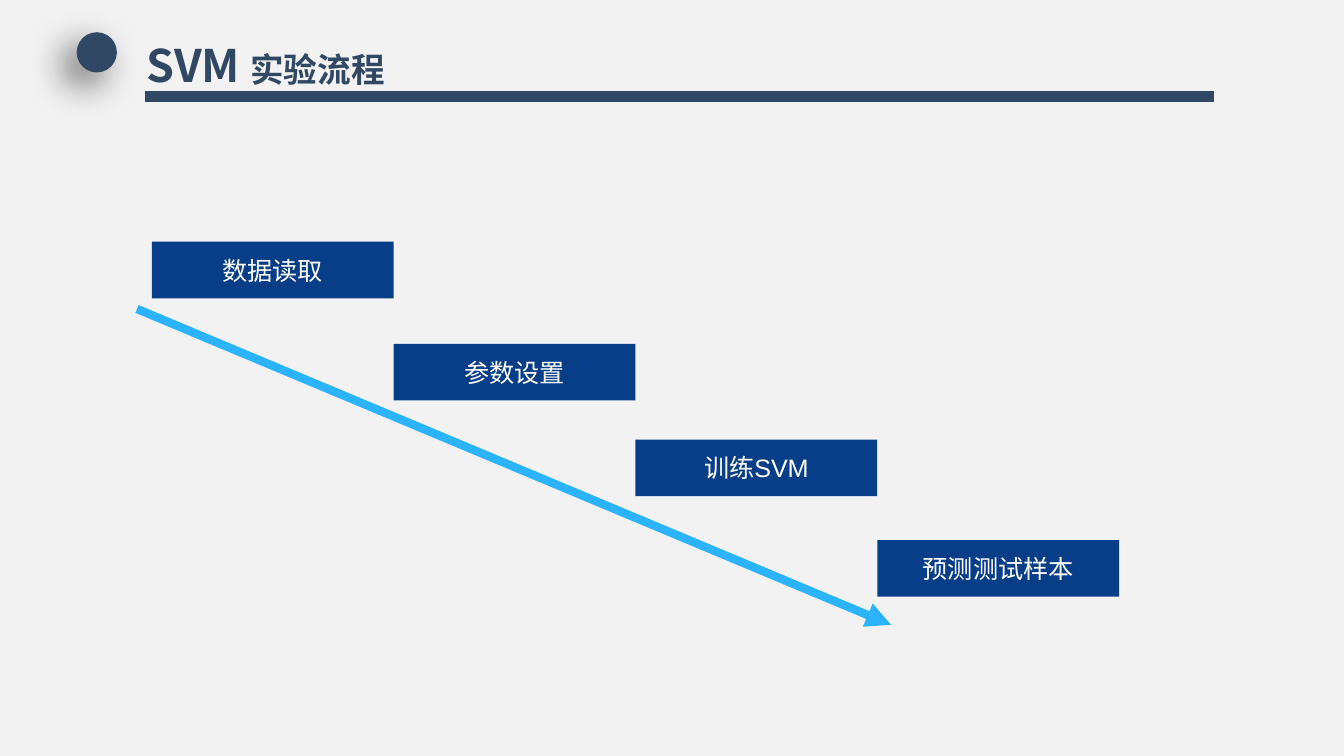
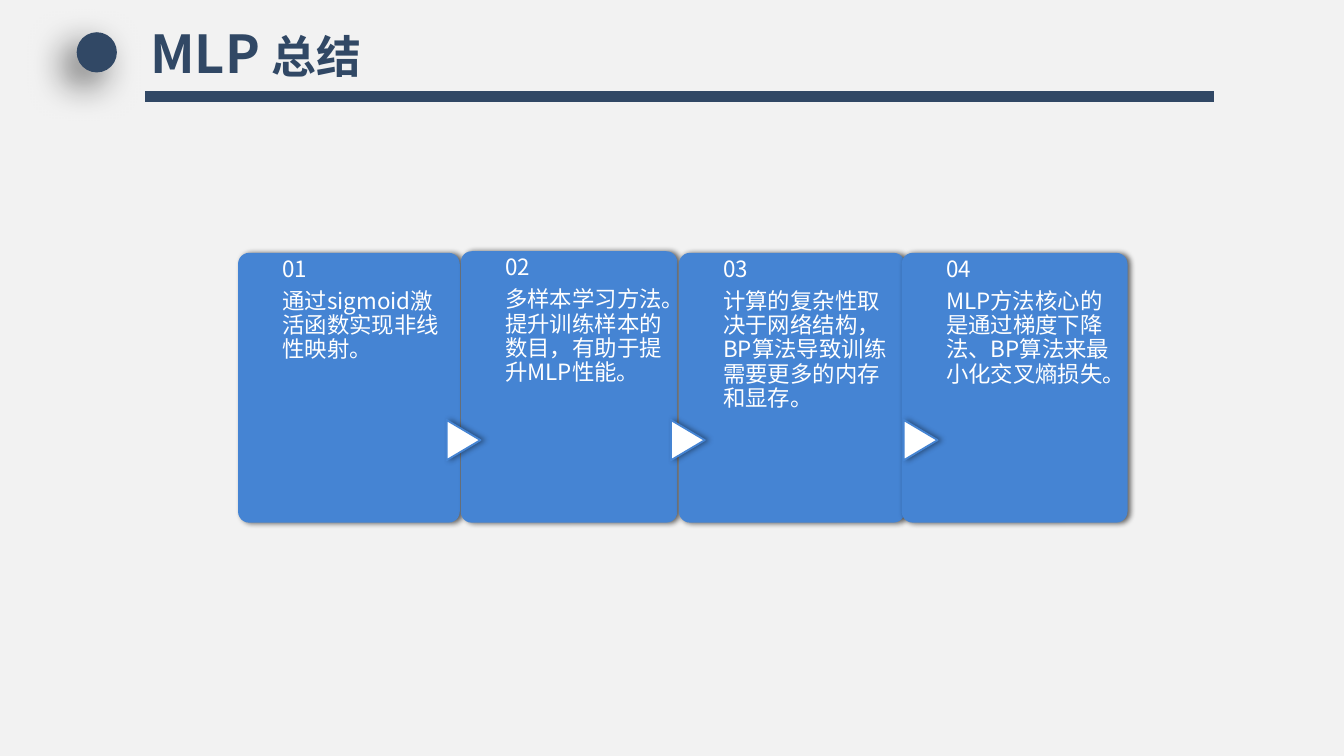
from dataclasses import dataclass

from lxml import etree
from pptx import Presentation
from pptx.dml.color import RGBColor
from pptx.enum.shapes import MSO_CONNECTOR as Connector, MSO_SHAPE as Shape
from pptx.enum.text import MSO_ANCHOR as Anchor, MSO_AUTO_SIZE as AutoSize, PP_ALIGN as Align
from pptx.oxml.ns import qn
from pptx.util import Cm, Pt


@dataclass(frozen=True)
class Theme:
    background: str = "F2F2F2"
    heading: str = "314865"
    step: str = "073E87"
    trend: str = "2BB4FC"
    card: str = "4584D3"
    white: str = "FFFFFF"
    sans: str = "Noto Sans CJK SC"
    latin: str = "Arial"
    step_size: float = 13.5
    card_size: float = 12


THEME = Theme()

# Content: title runs with their sizes, then title box in cm
FLOW_TITLE = [("SVM ", 24), ("实验流程", 18)]
FLOW_TITLE_BOX = (2.51, 0.58, 5.59, 2.06)
SUMMARY_TITLE = [("MLP ", 28), ("总结", 24)]
SUMMARY_TITLE_BOX = (2.59, 0.28, 8.56, 1.45)

# Step text and top
STEPS = [("数据读取", 4.57), ("参数设置", 6.5), ("训练SVM", 8.31), ("预测测试样本", 10.21)]
STEP_LEFT, STEP_WIDTH, STEP_HEIGHT = 2.87, 4.57, 1.07
TREND = (2.59, 5.84, 16.84, 11.81)

# Card text, left, top, width, and left of the arrow leading into it
CARDS = [
    ("通过sigmoid激活函数实现非线性映射。", 4.5, 4.78, 4.19, None),
    ("多样本学习方法。提升训练样本的数目，有助于提升MLP性能。", 8.71, 4.75, 4.09, 8.38),
    ("计算的复杂性取决于网络结构，BP算法导致训练需要更多的内存和显存。", 12.83, 4.78, 4.27, 12.62),
    ("MLP方法核心的是通过梯度下降法、BP算法来最小化交叉熵损失。", 17.04, 4.78, 4.27, 17.02),
]
CARD_BOTTOM = 9.88
CARD_INDENT, CARD_MARGIN = 0.84, 0.24
ARROW_TOP, ARROW_WIDTH, ARROW_HEIGHT = 8.0, 0.76, 0.64


# Helpers
def color(value):
    return RGBColor.from_string(value)


def place(box):
    return [Cm(length) for length in box]


def style(span, size, tint, font=THEME.sans, bold=False):
    span.font.size = Pt(size)
    span.font.bold = bold
    span.font.color.rgb = color(tint)
    span.font.name = font
    east_asian = etree.Element(qn("a:ea"), typeface=THEME.sans)
    span.font._element.find(qn("a:latin")).addnext(east_asian)


def add_block(page, kind, box, fill, outline=None, shadow=None):
    """shadow is (opacity percent, blur pt, distance pt, angle)."""
    shape = page.shapes.add_shape(kind, *place(box))
    shape.fill.solid()
    shape.fill.fore_color.rgb = color(fill)
    if outline:
        shape.line.color.rgb = color(outline)
        shape.line.width = Pt(1)
    else:
        shape.line.fill.background()
    shape.shadow.inherit = False
    if shadow:
        opacity, blur, distance, angle = shadow
        effects = shape._element.spPr.find(qn("a:effectLst"))
        outer = etree.SubElement(
            effects, qn("a:outerShdw"), blurRad=str(Pt(blur)), dist=str(Pt(distance)),
            dir=str(angle * 60000), algn="ctr", rotWithShape="0")
        tint = etree.SubElement(outer, qn("a:srgbClr"), val="000000")
        etree.SubElement(tint, qn("a:alpha"), val=str(opacity * 1000))
    return shape


def add_page(deck, title_runs, title_box):
    page = deck.slides.add_slide(deck.slide_layouts[5])
    title = page.shapes.title
    title.left, title.top, title.width, title.height = place(title_box)
    frame = title.text_frame
    frame.word_wrap = True
    frame.auto_size = AutoSize.SHAPE_TO_FIT_TEXT
    frame.vertical_anchor = Anchor.TOP
    para = frame.paragraphs[0]
    para.alignment = Align.LEFT
    for text, size in title_runs:
        span = para.add_run()
        span.text = text
        style(span, size, THEME.heading, bold=True)
    add_block(page, Shape.OVAL, (1.45, 0.61, 0.76, 0.76), THEME.heading, shadow=(60, 20, 10, 135))
    add_block(page, Shape.MATH_MINUS, (-0.91, 1.4, 27.51, 0.86), THEME.heading)
    return page


# Slide 1: descending steps with a trend arrow
def build_flow(deck):
    page = add_page(deck, FLOW_TITLE, FLOW_TITLE_BOX)
    for index, (text, top) in enumerate(STEPS):
        left = STEP_LEFT + index * STEP_WIDTH
        box = add_block(page, Shape.RECTANGLE, (left, top, STEP_WIDTH, STEP_HEIGHT), THEME.step)
        box.text_frame.text = text
        box.text_frame.vertical_anchor = Anchor.MIDDLE
        para = box.text_frame.paragraphs[0]
        para.alignment = Align.CENTER
        style(para.runs[0], THEME.step_size, THEME.white, THEME.latin)

    trend = page.shapes.add_connector(Connector.STRAIGHT, *place(TREND))
    trend.line.color.rgb = color(THEME.trend)
    trend.line.width = Pt(4.5)
    etree.SubElement(trend.line._get_or_add_ln(), qn("a:tailEnd"), type="triangle")
    etree.SubElement(trend._element.spPr, qn("a:effectLst"))


# Slide 2: numbered cards joined by arrows
def add_card_text(page, number, text, box):
    frame = page.shapes.add_textbox(*place(box)).text_frame
    frame.word_wrap = True
    frame.margin_left = frame.margin_right = frame.margin_bottom = 0
    frame.margin_top = Cm(0.1)
    frame.text = f"{number:02d}\n{text}"
    for para in frame.paragraphs:
        para.line_spacing = 0.9
        para.space_after = Pt(0.35 * THEME.card_size)
        style(para.runs[0], THEME.card_size, THEME.white)


def build_summary(deck):
    page = add_page(deck, SUMMARY_TITLE, SUMMARY_TITLE_BOX)
    for number, (text, left, top, width, arrow_left) in enumerate(CARDS, 1):
        height = CARD_BOTTOM - top
        card = add_block(page, Shape.ROUNDED_RECTANGLE, (left, top, width, height),
                         THEME.card, shadow=(60, 3, 1.5, 0))
        card.adjustments[0] = 0.05
        if arrow_left is not None:
            arrow = add_block(page, Shape.FLOWCHART_EXTRACT,
                              (arrow_left, ARROW_TOP, ARROW_WIDTH, ARROW_HEIGHT),
                              THEME.white, THEME.card, (40, 3.1, 1.8, 0))
            arrow.rotation = 90
        text_width = width - CARD_INDENT - CARD_MARGIN
        add_card_text(page, number, text, (left + CARD_INDENT, top, text_width, height))


def main():
    deck = Presentation()
    deck.slide_width, deck.slide_height = Cm(25.4), Cm(14.29)
    backdrop = deck.slide_master.background.fill
    backdrop.solid()
    backdrop.fore_color.rgb = color(THEME.background)
    build_flow(deck)
    build_summary(deck)
    deck.save("out.pptx")


if __name__ == "__main__":
    main()
